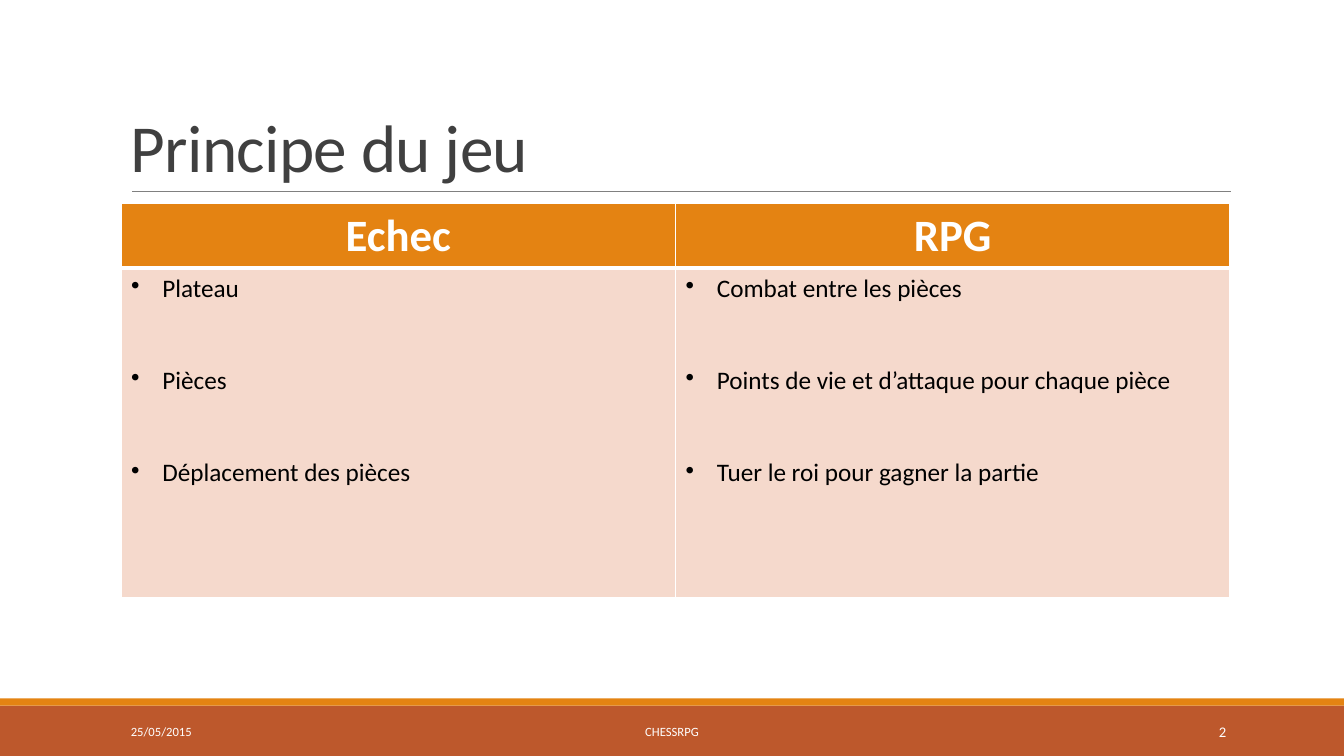
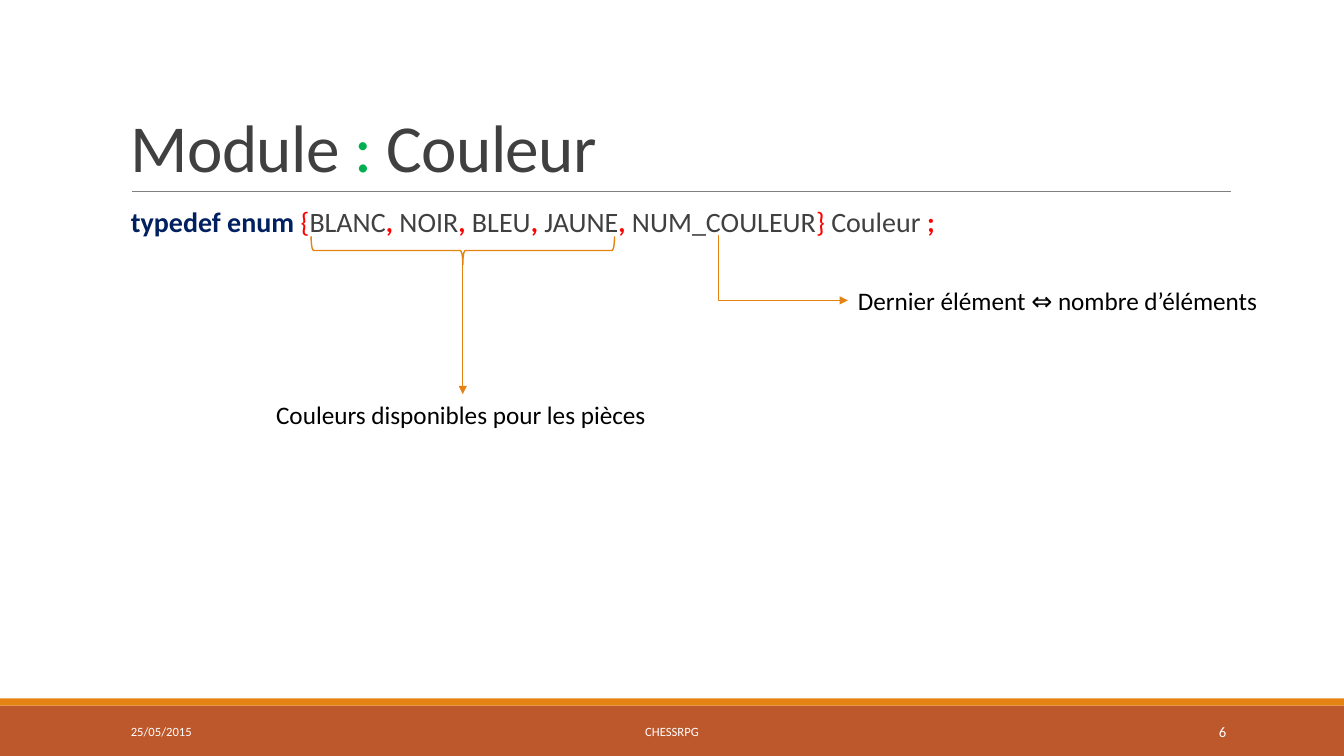
from lxml.etree import SubElement
from pptx import Presentation
from pptx.dml.color import RGBColor
from pptx.enum.shapes import MSO_CONNECTOR, MSO_SHAPE
from pptx.enum.text import MSO_ANCHOR, PP_ALIGN
from pptx.oxml.ns import qn
from pptx.util import Inches, Pt

# Shared look
ORANGE, RUST, PEACH = "E48312", "BD582C", "F5D9CC"
WHITE, BLACK, GREY, DARK = "FFFFFF", "000000", "808080", "404040"
RED, NAVY, GREEN = "FF0000", "002060", "00B050"
FONT = "Calibri"
SLIDE_WIDTH, SLIDE_HEIGHT = 13.33, 7.5
TITLE_BOX = (1.2, 0.31, 11, 1.59)
CONTENT_BOX = (1.2, 2.02, 11, 4.4)
TITLE_FORMAT = {"size": Pt(48), "color": DARK}
LABEL_FORMAT = {"size": Pt(18), "color": BLACK}
FOOTER_FORMAT = {"size": Pt(9), "color": WHITE}


def color(hex_value):
    return RGBColor.from_string(hex_value)


def add_run(paragraph, text, formats):
    run = paragraph.add_run()
    run.text = text
    for name, value in {"name": FONT, "bold": False, **formats}.items():
        if name == "color":
            run.font.color.rgb = color(value)
        else:
            setattr(run.font, name, value)
    return run


def add_text(slide, box, runs, frame_formats=None, paragraph_formats=None):
    """Place one paragraph; runs is a list of (text, formats)."""
    shape = slide.shapes.add_textbox(*map(Inches, box))
    frame = shape.text_frame
    for name, value in {"word_wrap": True, **(frame_formats or {})}.items():
        setattr(frame, name, value)
    paragraph = frame.paragraphs[0]
    for name, value in (paragraph_formats or {}).items():
        setattr(paragraph, name, value)
    for text, formats in runs:
        add_run(paragraph, text, formats)
    return shape


def add_line(slide, kind, start, end, line_color, width, arrow=False):
    line = slide.shapes.add_connector(kind, *map(Inches, (*start, *end)))
    line.line.color.rgb = color(line_color)
    line.line.width = Pt(width)
    if arrow:
        SubElement(line.line._get_or_add_ln(), qn("a:tailEnd"), type="triangle")
    SubElement(line._element.spPr, qn("a:effectLst"))
    return line


def add_base(presentation, title_runs, number):
    """Add a slide with its bands, title and footer."""
    slide = presentation.slides.add_slide(presentation.slide_layouts[6])

    # Bottom bands
    for top, height, fill in ((7, 0.5, RUST), (6.93, 0.07, ORANGE)):
        band = slide.shapes.add_shape(
            MSO_SHAPE.RECTANGLE, *map(Inches, (0, top, SLIDE_WIDTH, height)))
        band.shadow.inherit = False
        band.fill.solid()
        band.fill.fore_color.rgb = color(fill)
        band.line.fill.background()

    # Title and its rule
    add_line(slide, MSO_CONNECTOR.STRAIGHT, (1.31, 1.9), (12.21, 1.9), GREY, 0.5)
    title = add_text(
        slide, TITLE_BOX,
        [(text, {**TITLE_FORMAT, **formats}) for text, formats in title_runs],
        {"vertical_anchor": MSO_ANCHOR.BOTTOM}, {"line_spacing": 0.85})
    for run in title.text_frame.paragraphs[0].runs:
        run.font._element.set("spc", "-50")

    # Footer
    for left, width, text, size, alignment in (
            (1.2, 2.7, "25/05/2015", 9, PP_ALIGN.LEFT),
            (4.03, 5.27, "CHESSRPG", 9, PP_ALIGN.CENTER),
            (10.83, 1.43, str(number), 10.5, PP_ALIGN.RIGHT)):
        add_text(slide, (left, 7.06, width, 0.4),
                 [(text, {**FOOTER_FORMAT, "size": Pt(size)})],
                 {"vertical_anchor": MSO_ANCHOR.MIDDLE}, {"alignment": alignment})
    return slide


def style_cell(cell, fill, borders):
    """Fill a cell and draw its white borders, given as side: points."""
    cell.fill.solid()
    cell.fill.fore_color.rgb = color(fill)
    properties = cell._tc.get_or_add_tcPr()
    for index, (side, width) in enumerate(borders.items()):
        border = SubElement(properties, qn(f"a:ln{side}"), w=str(Pt(width)))
        solid = SubElement(border, qn("a:solidFill"))
        SubElement(solid, qn("a:srgbClr"), val=WHITE)
        properties.insert(index, border)


def add_bullets(frame, items):
    for index, item in enumerate(items):
        paragraph = frame.paragraphs[0] if index == 0 else frame.add_paragraph()
        paragraph.space_after = Pt(44)
        add_run(paragraph, item, LABEL_FORMAT)
        properties = paragraph._p.get_or_add_pPr()
        properties.set("marL", str(Inches(0.31)))
        properties.set("indent", str(-Inches(0.31)))
        SubElement(properties, qn("a:buChar"), char="•")


def add_comparison(slide, box, columns):
    """Table with one heading and one bulleted list per column."""
    left, top, width, _ = box
    heights = (0.64, 3.27)
    table = slide.shapes.add_table(
        2, len(columns), *map(Inches, (left, top, width, sum(heights)))).table
    table.horz_banding = False
    for row, height in zip(table.rows, heights):
        row.height = Inches(height)
    for index, (heading, items) in enumerate(columns.items()):
        table.columns[index].width = Inches(width / len(columns))
        head, body = table.cell(0, index), table.cell(1, index)
        style_cell(head, ORANGE, {"L": 1, "R": 1, "T": 1, "B": 3})
        style_cell(body, PEACH, {"L": 1, "R": 1, "T": 3, "B": 1})
        paragraph = head.text_frame.paragraphs[0]
        paragraph.alignment = PP_ALIGN.CENTER
        add_run(paragraph, heading, {"size": Pt(32), "bold": True, "color": WHITE})
        add_bullets(body.text_frame, items)


def add_enum_diagram(slide, box):
    """Enum declaration with its two annotations."""
    left, top, _, _ = box

    # Declaration
    keyword = {"color": NAVY, "bold": True}
    separator = {"color": RED, "bold": True}
    brace_format, plain = {"color": RED}, {"color": DARK}
    runs = [("typedef enum ", keyword), ("{", brace_format), ("BLANC", plain)]
    for name in ("NOIR", "BLEU", "JAUNE", "NUM_COULEUR"):
        runs += [(",", separator), (f" {name}", plain)]
    runs += [("}", brace_format), (" Couleur ", plain), (";", separator)]
    add_text(slide, box, [(text, {"size": Pt(20), **formats}) for text, formats in runs],
             None, {"line_spacing": 0.9})

    # Annotation labels
    def add_label(x, y, width, text):
        return add_text(slide, (left + x, top + y, width, 0.4),
                        [(text, LABEL_FORMAT)], {"word_wrap": False})

    add_label(7.21, 0.76, 4.27, "Dernier élément ⇔ nombre d’éléments")
    colors_label = add_label(1.44, 1.89, 3.9, "Couleurs disponibles pour les pièces")

    # Brace under the colours, with its arrow
    brace = slide.shapes.add_shape(
        MSO_SHAPE.RIGHT_BRACE,
        *map(Inches, (left + 3.25, top - 1.04, 0.28, 3.01)))
    brace.rotation = 90
    brace.shadow.inherit = False
    brace.fill.background()
    brace.line.color.rgb = color(ORANGE)
    brace.line.width = Pt(1)
    arrow = add_line(slide, MSO_CONNECTOR.STRAIGHT, (left + 3.39, top + 0.6),
                     (left + 3.39, top + 1.89), ORANGE, 1, arrow=True)
    arrow.end_connect(colors_label, 0)

    # Bent arrow from the last element: down, then right
    elbow = add_line(slide, MSO_CONNECTOR.ELBOW, (left + 5.92, top + 0.32),
                     (left + 7.21, top + 0.96), ORANGE, 1, arrow=True)
    adjustments = elbow._element.spPr.find(qn("a:prstGeom")).get_or_add_avLst()
    SubElement(adjustments, qn("a:gd"), name="adj1", fmla="val 400")


def main():
    presentation = Presentation()
    presentation.slide_width = Inches(SLIDE_WIDTH)
    presentation.slide_height = Inches(SLIDE_HEIGHT)

    slide = add_base(presentation, [("Principe du jeu", {})], 2)
    add_comparison(slide, CONTENT_BOX, {
        "Echec": ("Plateau", "Pièces", "Déplacement des pièces"),
        "RPG": ("Combat entre les pièces",
                "Points de vie et d’attaque pour chaque pièce",
                "Tuer le roi pour gagner la partie"),
    })

    slide = add_base(presentation, [
        ("Module ", {}), (":", {"color": GREEN}), (" Couleur", {})], 6)
    add_enum_diagram(slide, CONTENT_BOX)

    presentation.save("out.pptx")


if __name__ == "__main__":
    main()
